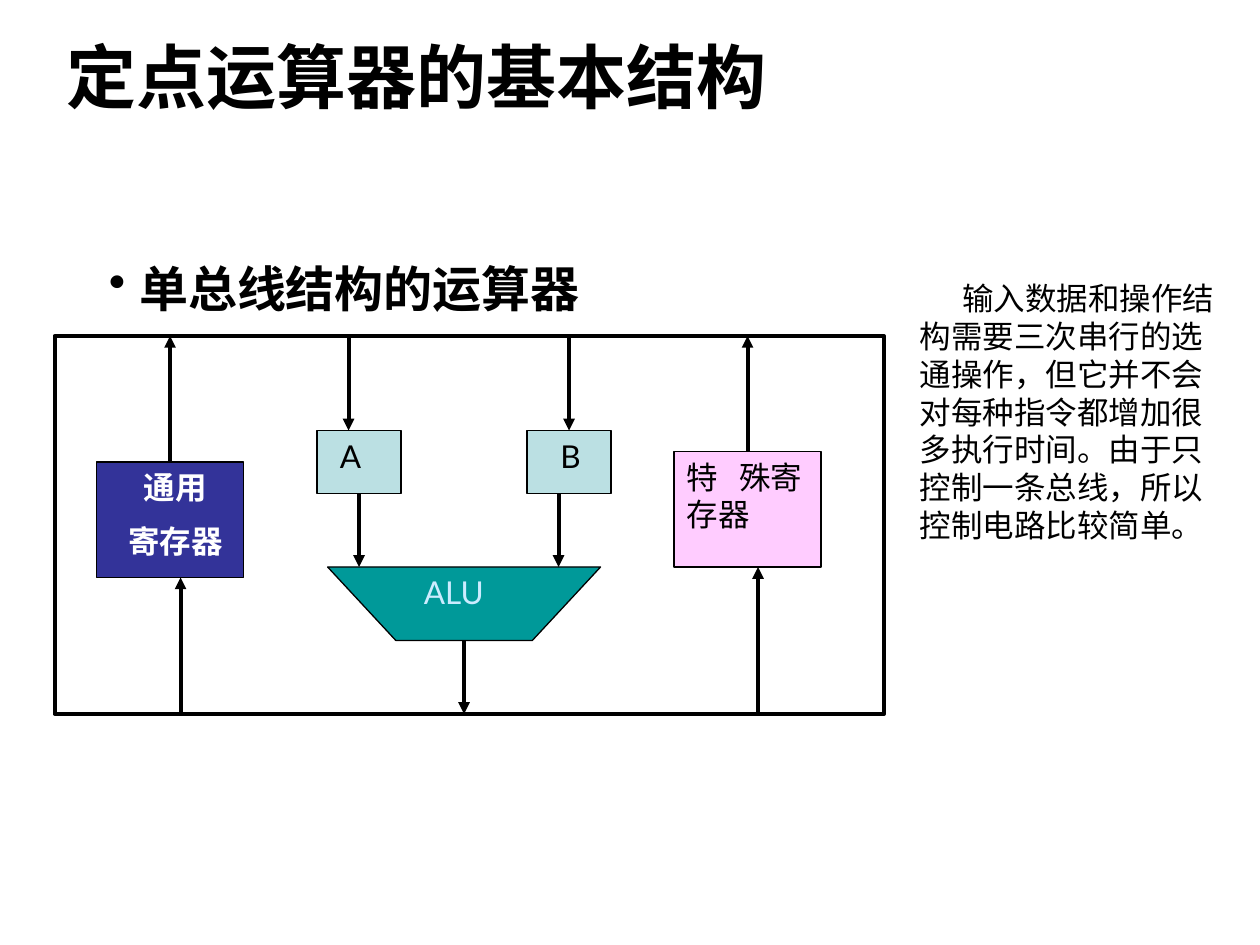
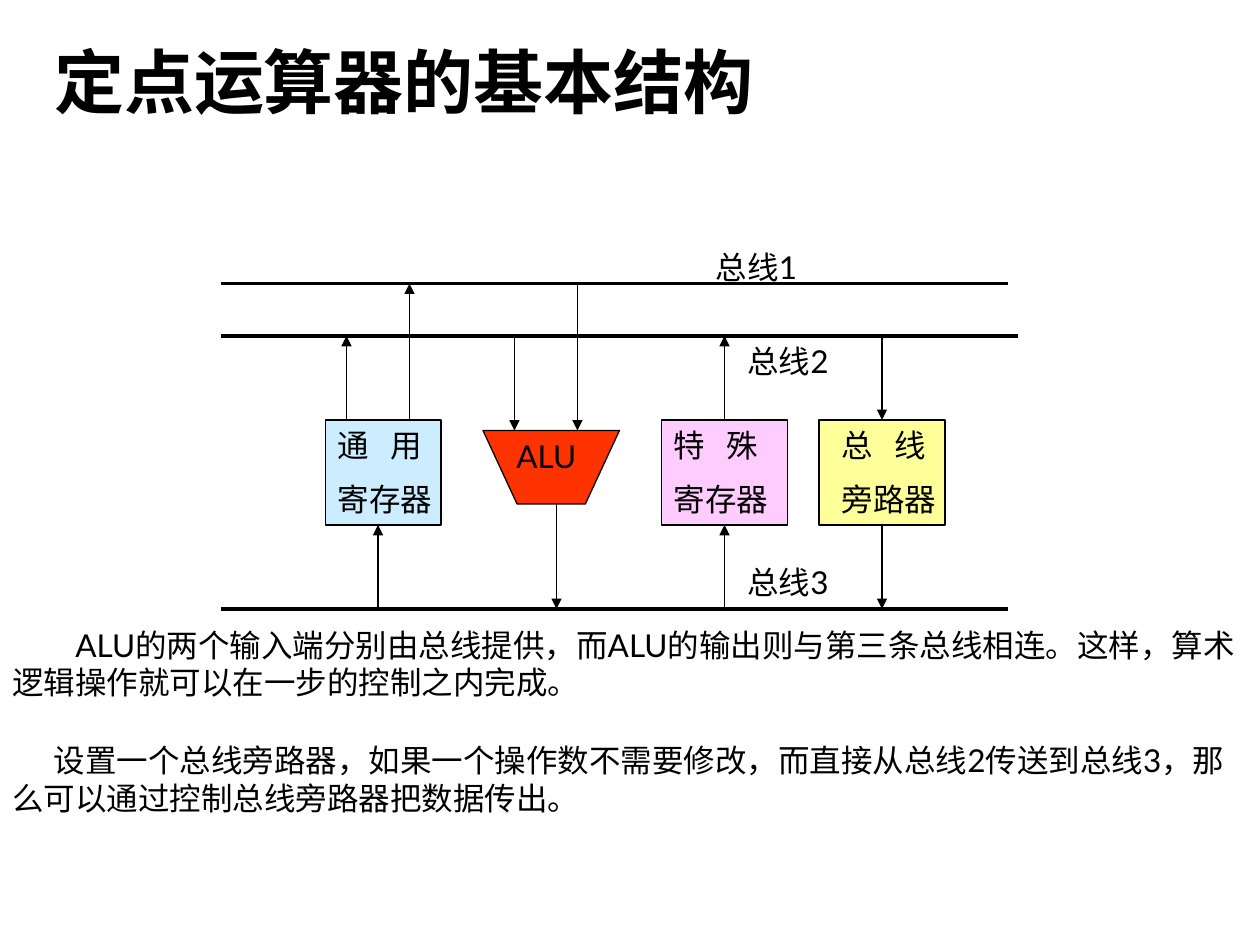
from dataclasses import dataclass
from typing import Any

from lxml.etree import SubElement
from pptx import Presentation
from pptx.dml.color import RGBColor
from pptx.enum.shapes import MSO_CONNECTOR, MSO_SHAPE
from pptx.enum.text import MSO_ANCHOR, MSO_AUTO_SIZE, PP_ALIGN
from pptx.oxml.ns import qn
from pptx.util import Inches, Pt

BLACK = RGBColor(0x00, 0x00, 0x00)
WHITE = RGBColor(0xFF, 0xFF, 0xFF)
PINK = RGBColor(0xFF, 0xCC, 0xFF)
TEAL = RGBColor(0x00, 0x99, 0x99)
PALE_TEAL = RGBColor(0xBB, 0xE0, 0xE3)
NAVY = RGBColor(0x33, 0x33, 0x99)
ICE_BLUE = RGBColor(0xCC, 0xEC, 0xFF)
YELLOW = RGBColor(0xFF, 0xFF, 0x99)
RED = RGBColor(0xFF, 0x33, 0x00)

TITLE = "定点运算器的基本结构"
TITLE_FONT, BODY_FONT = "Arial", "Lato"
THIN, THICK = 0.75, 2.25
CELLS_PER_INCH = 12
TAB_STOP = 0.42


def cells(count):
    return Inches(count / CELLS_PER_INCH)


@dataclass
class Diagram:
    page: Any
    origin: float = 0

    def place(self, column, row, width, height):
        return cells(self.origin + column), cells(row), cells(width), cells(height)


def add_page(deck, left, top):
    page = deck.slides.add_slide(deck.slide_layouts[5])
    title = page.shapes.title
    title.left, title.top = Inches(left), Inches(top)
    title.width, title.height = Inches(8.5), cells(11)
    frame = title.text_frame
    frame.text = TITLE
    frame.auto_size = MSO_AUTO_SIZE.NONE
    frame.vertical_anchor = MSO_ANCHOR.MIDDLE
    paragraph = frame.paragraphs[0]
    paragraph.alignment = PP_ALIGN.LEFT
    set_font(paragraph, TITLE_FONT, 40, BLACK, True)
    return page


def set_font(paragraph, name, size, color, bold):
    font = paragraph.font
    font.name, font.size, font.bold = name, Pt(size), bold
    font.color.rgb = color


def style_shape(shape, fill, width=THIN):
    shape.shadow.inherit = False
    if fill is None:
        shape.fill.background()
    else:
        shape.fill.solid()
        shape.fill.fore_color.rgb = fill
    shape.line.color.rgb = BLACK
    shape.line.width = Pt(width)


def add_block(diagram, area, fill, width=THIN):
    block = diagram.page.shapes.add_shape(MSO_SHAPE.RECTANGLE, *diagram.place(*area))
    style_shape(block, fill, width)


def add_alu(diagram, area, fill):
    left, top, width, height = diagram.place(*area)
    right, bottom, slant = left + width, top + height, width // 4
    builder = diagram.page.shapes.build_freeform(left, top)
    builder.add_line_segments([(left + slant, bottom), (right - slant, bottom), (right, top)])
    style_shape(builder.convert_to_shape(), fill)


def add_line(diagram, start, end, width, arrow=False):
    x1, y1, x2, y2 = diagram.place(*start, 0, 0)[:2] + diagram.place(*end, 0, 0)[:2]
    line = diagram.page.shapes.add_connector(MSO_CONNECTOR.STRAIGHT, x1, y1, x2, y2)
    line.line.color.rgb = BLACK
    line.line.width = Pt(width)
    properties = line._element.spPr
    if arrow:
        SubElement(properties.find(qn("a:ln")), qn("a:tailEnd"), type="triangle")
    SubElement(properties, qn("a:effectLst"))


def add_arrows(diagram, arrows, width):
    for column, start_row, end_row in arrows:
        add_line(diagram, (column, start_row), (column, end_row), width, True)


def format_indents(paragraph, indent, bullet):
    properties = paragraph._p.get_or_add_pPr()
    offset = Inches(indent)
    if bullet:
        properties.set("marL", str(offset))
        properties.set("indent", str(-offset))
        SubElement(properties, qn("a:buChar"), char="•")
    elif indent:
        properties.set("marL", "0")
        properties.set("indent", str(offset))
    if "\t" in paragraph.text:
        stops = SubElement(properties, qn("a:tabLst"))
        SubElement(stops, qn("a:tab"), pos=str(Inches(TAB_STOP)), algn="l")


def add_text(diagram, area, lines, color=BLACK, size=18, bold=False,
             align=PP_ALIGN.LEFT, indent=0, bullet=False):
    box = diagram.page.shapes.add_textbox(*diagram.place(*area))
    frame = box.text_frame
    frame.word_wrap = True
    frame.auto_size = MSO_AUTO_SIZE.SHAPE_TO_FIT_TEXT
    for number, line in enumerate(lines):
        paragraph = frame.add_paragraph() if number else frame.paragraphs[0]
        paragraph.text = line
        paragraph.alignment = align
        if number:
            paragraph.space_before = Pt(size / 2)
        format_indents(paragraph, indent, bullet)
        set_font(paragraph, BODY_FONT, size, color, bold)


def build_single_bus(deck):
    diagram = Diagram(add_page(deck, 0.43, 0.14), origin=5.2)
    bus_top, bus_bottom = 32, 68
    add_block(diagram, (59, 43, 14, 11), PINK)
    add_alu(diagram, (26, 54, 26, 7), TEAL)
    for column in (45, 25):
        add_block(diagram, (column, 41, 8, 6), PALE_TEAL)
    add_block(diagram, (4, 44, 14, 11), NAVY)
    add_text(diagram, (26, 41, 19, 6), ["A"])
    add_text(diagram, (47, 41, 19, 6), ["B"])
    add_text(diagram, (34, 54, 13, 6), ["ALU"], ICE_BLUE)
    add_text(diagram, (4, 44, 15, 10.3), ["通用", "寄存器"], WHITE,
             bold=True, align=PP_ALIGN.CENTER)
    add_text(diagram, (59, 43, 15, 10.8), ["特\t殊寄存器"])
    add_block(diagram, (0, bus_top, 79, bus_bottom - bus_top), None, THICK)
    add_arrows(diagram, [
        (12, bus_bottom, 55), (11, 44, bus_top), (39, 61, bus_bottom),
        (29, 47, 54), (48, 47, 54), (28, bus_top, 41), (49, bus_top, 41),
        (66, 43, bus_top), (67, bus_bottom, 54),
    ], THICK)
    add_text(diagram, (4, 24, 55, 6.8), ["单总线结构的运算器"],
             size=28, bold=True, indent=0.24, bullet=True)
    add_text(diagram, (81.2, 26, 32.2, 49), [
        "输入数据和操作结构需要三次串行的选通操作，但它并不会对每种指令都增加很多执行时间。"
        "由于只控制一条总线，所以控制电路比较简单。"], indent=0.34)


def build_triple_bus(deck):
    diagram = Diagram(add_page(deck, 0.33, 0.18))
    bus_1, bus_2, bus_3 = 27, 32, 58
    block_top, block_bottom, alu_top = 40, 50, 41
    for column, width, fill, text_column, lines in (
        (78, 12, YELLOW, 79, ["总\t线", "旁路器"]),
        (63, 12, PINK, 63, ["特\t殊", "寄存器"]),
        (31, 11, ICE_BLUE, 31, ["通\t用", "寄存器"]),
    ):
        add_block(diagram, (column, block_top, width, block_bottom - block_top), fill)
        add_text(diagram, (text_column, block_top, 12, 10.2), lines)
    add_alu(diagram, (46, alu_top, 13, 7), RED)
    add_text(diagram, (48, alu_top, 15, 6), ["ALU"])
    for row, end_column in ((bus_1, 96), (bus_2, 97), (bus_3, 96)):
        add_line(diagram, (21, row), (end_column, row), THICK)
    add_arrows(diagram, [
        (33, block_top, bus_2), (39, block_top, bus_1), (36, bus_3, block_bottom),
        (49, bus_2, alu_top), (55, bus_1, alu_top), (53, 48, bus_3),
        (69, block_top, bus_2), (69, bus_3, block_bottom),
        (84, bus_2, block_top), (84, block_bottom, bus_3),
    ], THIN)
    for name, column, row in (("总线1", 67, 23), ("总线2", 70, 32), ("总线3", 70, 53)):
        add_text(diagram, (column, row, 12, 4.8), [name])
    add_text(diagram, (0, 59, 120, 10.8), [
        "ALU的两个输入端分别由总线提供，而ALU的输出则与第三条总线相连。"
        "这样，算术逻辑操作就可以在一步的控制之内完成。"], indent=0.5)
    add_text(diagram, (0, 70, 120, 10.8), [
        "设置一个总线旁路器，如果一个操作数不需要修改，而直接从总线2传送到总线3，"
        "那么可以通过控制总线旁路器把数据传出。"], indent=0.33)


def main():
    deck = Presentation()
    deck.slide_width, deck.slide_height = Inches(10), Inches(7.5)
    build_single_bus(deck)
    build_triple_bus(deck)
    deck.save("out.pptx")


if __name__ == "__main__":
    main()
